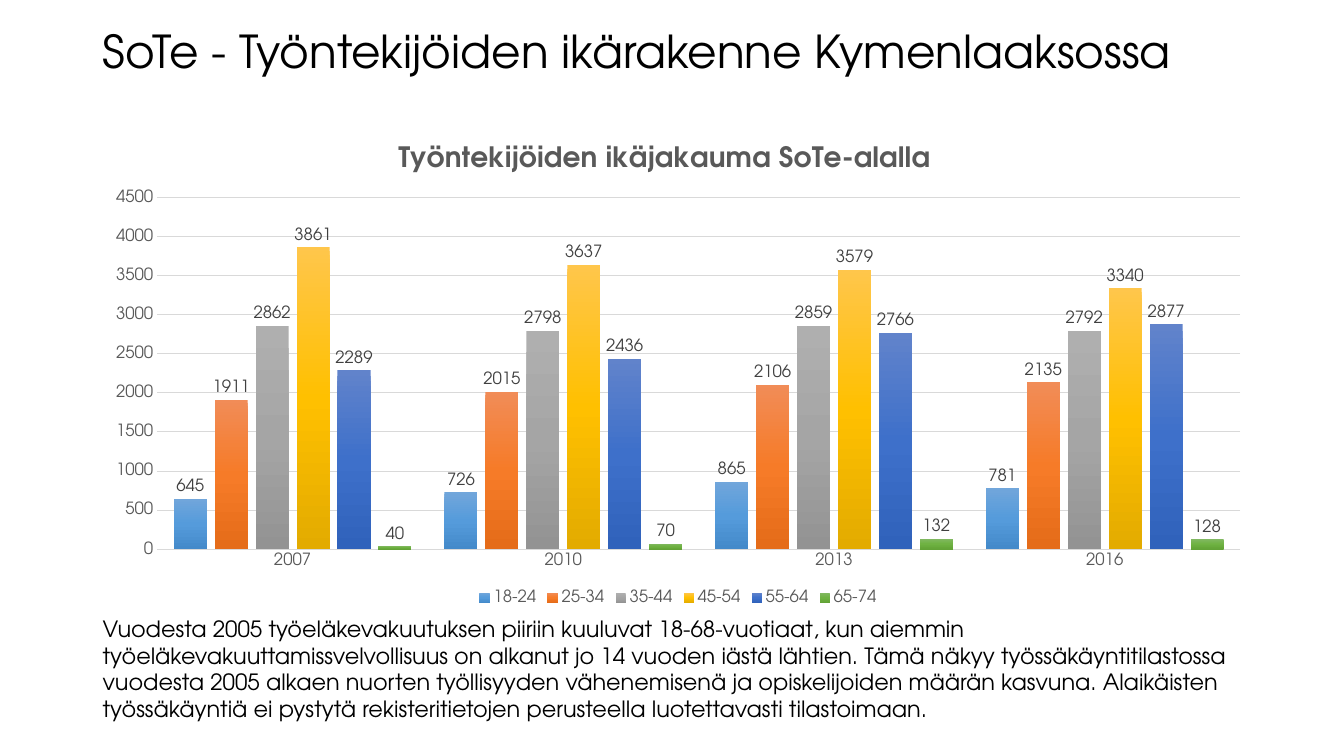
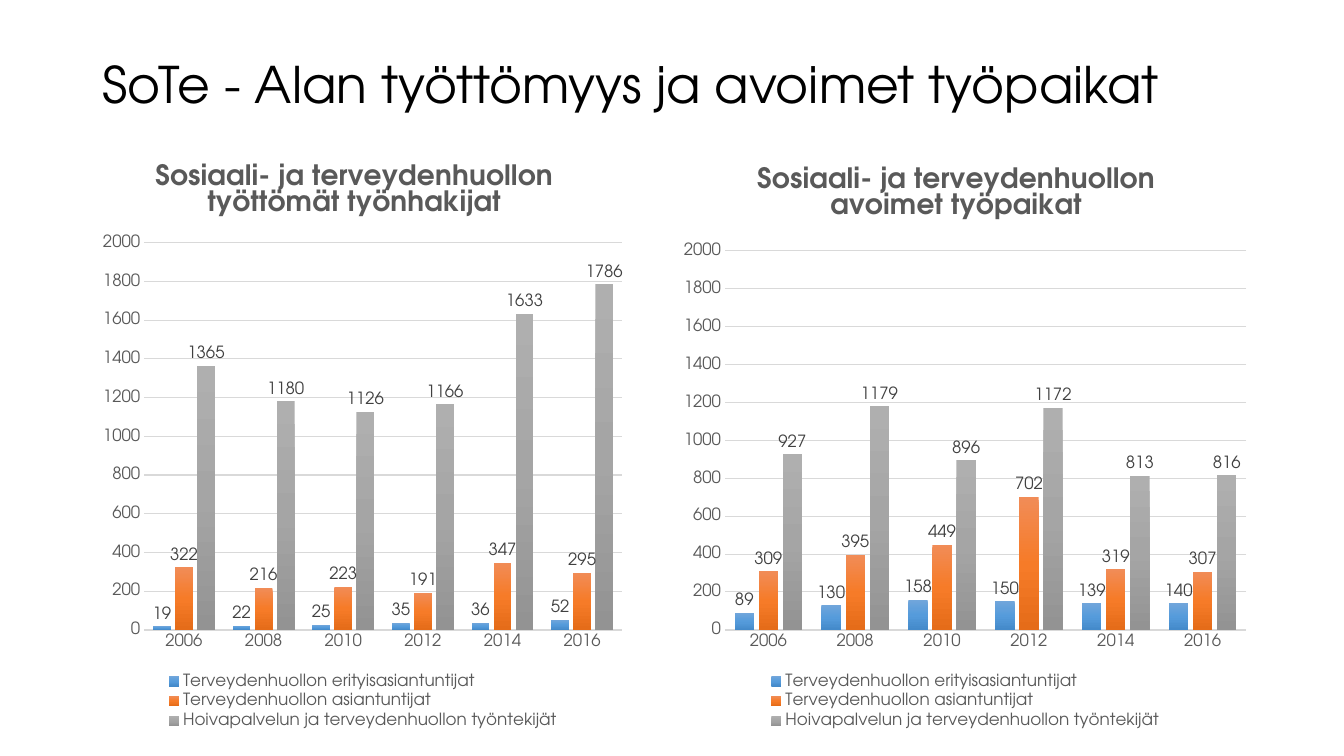
from dataclasses import dataclass

from pptx import Presentation
from pptx.chart.axis import CategoryAxis, ValueAxis
from pptx.chart.chart import Chart
from pptx.chart.data import CategoryChartData
from pptx.chart.series import BarSeries
from pptx.dml.color import RGBColor
from pptx.enum.chart import XL_CHART_TYPE, XL_LABEL_POSITION, XL_LEGEND_POSITION, XL_TICK_MARK
from pptx.enum.text import MSO_ANCHOR
from pptx.oxml import parse_xml
from pptx.oxml.ns import nsdecls, qn
from pptx.slide import Slide
from pptx.util import Emu, Pt

PX = 9144
FONT = "TeX Gyre Adventor"
BLACK, GREY, LABEL, RULE = "000000", "595959", "404040", "D9D9D9"
GRADIENTS = [
    ("71A6DB", "559BDB", "448ACA"),
    ("F18C57", "F67B28", "E56C19"),
    ("AFAFAF", "A5A5A5", "939393"),
    ("FFC64B", "FFC000", "E3AB00"),
    ("6183CB", "3E70CA", "3062BB"),
    ("81B861", "6FB242", "62A336"),
]
CARE_GROUPS = [
    "Terveydenhuollon erityisasiantuntijat",
    "Terveydenhuollon asiantuntijat",
    "Hoivapalvelun ja terveydenhuollon työntekijät",
]
EVEN_YEARS = ["2006", "2008", "2010", "2012", "2014", "2016"]


@dataclass(frozen=True)
class Box:
    """A rectangle in px."""

    left: int
    top: int
    width: int = 0
    height: int = 0

    def emu(self) -> tuple[Emu, ...]:
        """Give the four lengths in EMU."""
        return tuple(Emu(n * PX) for n in (self.left, self.top, self.width, self.height))


@dataclass(frozen=True)
class ColumnChart:
    """One clustered column chart with its places on the slide."""

    title: list[str]
    frame: Box
    plot: Box
    title_at: Box
    years: list[str]
    groups: dict[str, list[int]]
    top_value: int
    step: int


AGE_CHART = ColumnChart(
    ["Työntekijöiden ikäjakauma SoTe-alalla"],
    Box(92, 120, 1161, 485), Box(156, 196, 1074, 349), Box(390, 137),
    ["2007", "2010", "2013", "2016"],
    {
        "18-24": [645, 726, 865, 781],
        "25-34": [1911, 2015, 2106, 2135],
        "35-44": [2862, 2798, 2859, 2792],
        "45-54": [3861, 3637, 3579, 3340],
        "55-64": [2289, 2436, 2766, 2877],
        "65-74": [40, 70, 132, 128],
    },
    4500, 500,
)
JOBLESS_CHART = ColumnChart(
    ["Sosiaali- ja terveydenhuollon", "työttömät työnhakijat"],
    Box(92, 141, 536, 586), Box(143, 241, 474, 384), Box(151, 158),
    EVEN_YEARS,
    dict(zip(CARE_GROUPS, [
        [19, 22, 25, 35, 36, 52],
        [322, 216, 223, 191, 347, 295],
        [1365, 1180, 1126, 1166, 1633, 1786],
    ])),
    2000, 200,
)
VACANCY_CHART = ColumnChart(
    ["Sosiaali- ja terveydenhuollon", "avoimet työpaikat"],
    Box(667, 141, 581, 586), Box(719, 249, 517, 376), Box(748, 161),
    EVEN_YEARS,
    dict(zip(CARE_GROUPS, [
        [89, 130, 158, 150, 139, 140],
        [309, 395, 449, 702, 319, 307],
        [927, 1179, 896, 1172, 813, 816],
    ])),
    2000, 200,
)
AGE_NOTE = (
    "Vuodesta 2005 työeläkevakuutuksen piiriin kuuluvat 18-68-vuotiaat, kun aiemmin "
    "työeläkevakuuttamissvelvollisuus on alkanut jo 14 vuoden iästä lähtien. Tämä näkyy "
    "työssäkäyntitilastossa vuodesta 2005 alkaen nuorten työllisyyden vähenemisenä ja "
    "opiskelijoiden määrän kasvuna. Alaikäisten työssäkäyntiä ei pystytä rekisteritietojen "
    "perusteella luotettavasti tilastoimaan."
)


def rgb(code: str) -> RGBColor:
    """Turn a hex string into a colour."""
    return RGBColor.from_string(code)


def set_font(font, size: float, colour: str, bold: bool = False) -> None:
    """Give a font the shared face and the wanted size and colour."""
    font.name, font.size, font.bold = FONT, Pt(size), bold
    font.color.rgb = rgb(colour)


def add_text(slide: Slide, box: Box, words: str, size: float,
             anchor: MSO_ANCHOR = MSO_ANCHOR.TOP) -> None:
    """Add a wrapped text box with one run."""
    frame = slide.shapes.add_textbox(*box.emu()).text_frame
    frame.word_wrap, frame.vertical_anchor = True, anchor
    run = frame.paragraphs[0].add_run()
    run.text = words
    set_font(run.font, size, BLACK)


def add_heading(slide: Slide, box: Box, words: str, size: float) -> None:
    """Add the slide title, centred in its height."""
    add_text(slide, box, words, size, MSO_ANCHOR.MIDDLE)


def place(element, index: int, box: Box, frame: Box, inner: bool = False) -> None:
    """Fix a chart part at a place inside the chart frame."""
    for old in element.findall(qn("c:layout")):
        element.remove(old)
    marks = '<c:layoutTarget val="inner"/>' if inner else ""
    marks += '<c:xMode val="edge"/><c:yMode val="edge"/>'
    shares = {
        "x": (box.left - frame.left) / frame.width,
        "y": (box.top - frame.top) / frame.height,
    }
    if inner:
        shares |= {"w": box.width / frame.width, "h": box.height / frame.height}
    marks += "".join(f'<c:{key} val="{share:.4f}"/>' for key, share in shares.items())
    element.insert(index, parse_xml(
        f'<c:layout {nsdecls("c")}><c:manualLayout>{marks}</c:manualLayout></c:layout>'))


def style_series(series: BarSeries, stops: tuple[str, str, str]) -> None:
    """Fill the columns with a downward gradient and label their values."""
    marks = "".join(
        f'<a:gs pos="{i * 50000}"><a:srgbClr val="{code}"/></a:gs>'
        for i, code in enumerate(stops))
    series._element.get_or_add_spPr().insert(0, parse_xml(
        f'<a:gradFill {nsdecls("a")} rotWithShape="1"><a:gsLst>{marks}</a:gsLst>'
        '<a:lin ang="5400000" scaled="0"/></a:gradFill>'))
    labels = series.data_labels
    labels.show_value = True
    labels.position = XL_LABEL_POSITION.OUTSIDE_END
    set_font(labels.font, 12, LABEL)


def style_axis(axis: CategoryAxis | ValueAxis) -> None:
    """Set the tick marks and label font of an axis."""
    axis.major_tick_mark = axis.minor_tick_mark = XL_TICK_MARK.NONE
    set_font(axis.tick_labels.font, 12, GREY)


def style_axes(chart: Chart, content: ColumnChart) -> None:
    """Set the scale, lines and grid of both axes."""
    years, values = chart.category_axis, chart.value_axis
    style_axis(years)
    style_axis(values)
    years.format.line.color.rgb = rgb(RULE)
    years.format.line.width = Pt(1)
    values.format.line.fill.background()
    values.minimum_scale, values.maximum_scale = 0, content.top_value
    values.major_unit = content.step
    values.tick_labels.number_format = "0"
    values.tick_labels.number_format_is_linked = False
    grid = values.major_gridlines.format.line
    grid.color.rgb = rgb(RULE)
    grid.width = Pt(0.75)


def add_column_chart(slide: Slide, content: ColumnChart) -> None:
    """Add one column chart with title, labels and legend."""
    data = CategoryChartData()
    data.categories = content.years
    for group, counts in content.groups.items():
        data.add_series(group, counts)
    chart = slide.shapes.add_chart(
        XL_CHART_TYPE.COLUMN_CLUSTERED, *content.frame.emu(), data).chart
    set_font(chart.font, 10, BLACK)

    chart.has_title = True
    heading = chart.chart_title.text_frame
    for i, line in enumerate(content.title):
        paragraph = heading.add_paragraph() if i else heading.paragraphs[0]
        run = paragraph.add_run()
        run.text = line
        set_font(run.font, 20, GREY, bold=True)
    chart.chart_title.include_in_layout = False
    place(chart.chart_title._element, 1, content.title_at, content.frame)

    chart.has_legend = True
    chart.legend.position = XL_LEGEND_POSITION.BOTTOM
    chart.legend.include_in_layout = False
    set_font(chart.legend.font, 12, GREY)

    columns = chart.plots[0]
    columns.gap_width, columns.overlap = 100, -24
    columns.vary_by_categories = False
    for series, stops in zip(columns.series, GRADIENTS):
        style_series(series, stops)
    style_axes(chart, content)
    place(chart._chartSpace.chart.plotArea, 0, content.plot, content.frame, inner=True)


def main() -> None:
    """Build both slides and save them."""
    deck = Presentation()
    deck.slide_width, deck.slide_height = Emu(1333 * PX), Emu(750 * PX)
    blank = deck.slide_layouts[6]

    ages = deck.slides.add_slide(blank)
    add_heading(ages, Box(92, 0, 1150, 99), "SoTe - Työntekijöiden ikärakenne Kymenlaaksossa", 32.4)
    add_column_chart(ages, AGE_CHART)
    add_text(ages, Box(92, 605, 1150, 118), AGE_NOTE, 16)

    jobs = deck.slides.add_slide(blank)
    add_heading(jobs, Box(92, 24, 1150, 117), "SoTe - Alan työttömyys ja avoimet työpaikat", 36)
    for content in (JOBLESS_CHART, VACANCY_CHART):
        add_column_chart(jobs, content)

    deck.save("out.pptx")


if __name__ == "__main__":
    main()
